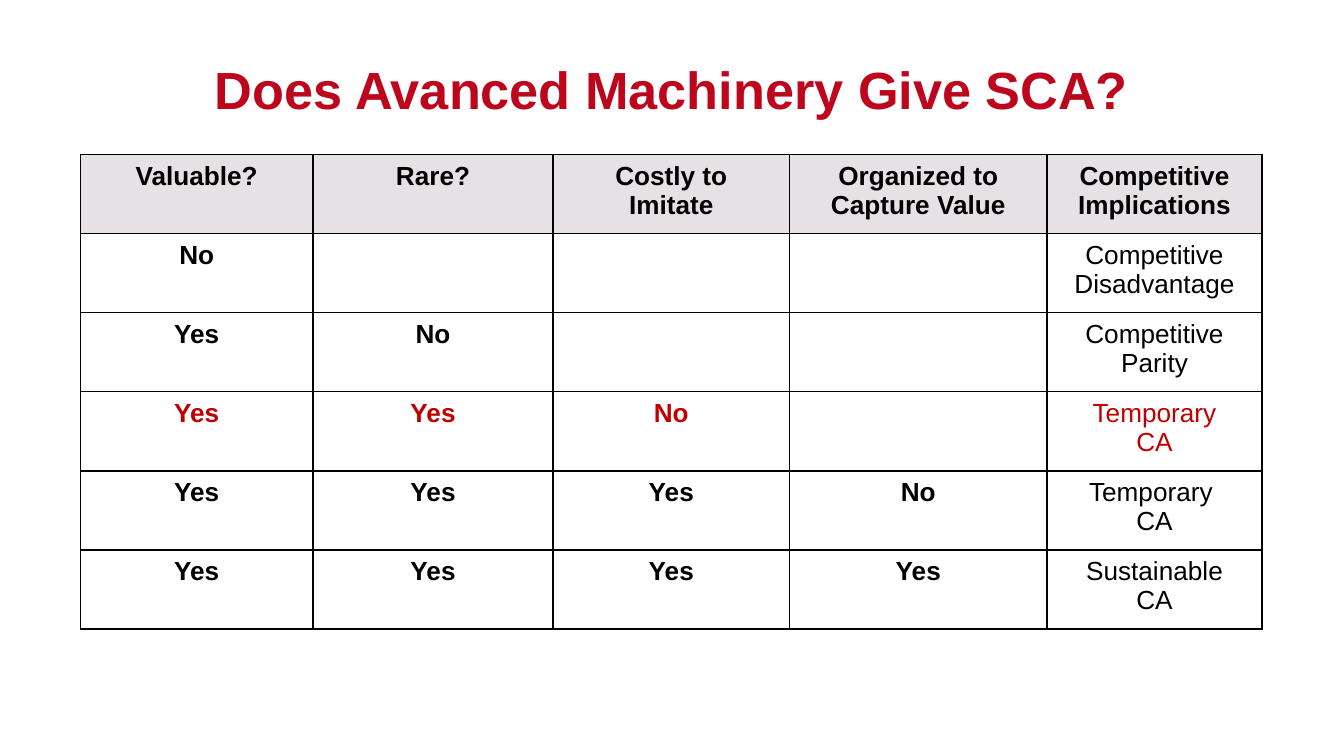
from lxml.etree import SubElement
from pptx import Presentation
from pptx.dml.color import RGBColor
from pptx.enum.text import MSO_ANCHOR as ANCHOR, PP_ALIGN as ALIGN
from pptx.oxml.ns import qn
from pptx.util import Inches, Pt

BLACK = RGBColor(0x00, 0x00, 0x00)
WHITE = RGBColor(0xFF, 0xFF, 0xFF)
HEADER_GREY = RGBColor(0xE5, 0xE1, 0xE4)
TITLE_RED = RGBColor(0xBD, 0x06, 0x1C)
ROW_RED = RGBColor(0xC0, 0x00, 0x00)

LEFT, WIDTH = 0.6, 8.79
COL_WIDTHS = [1.73, 1.79, 1.76, 1.92, 1.6]
TABLE_HEIGHT = 3.53
BORDER = Pt(0.96)
HIGHLIGHT_ROW = 3

ROWS = [
    ["Valuable?", "Rare?", "Costly to Imitate", "Organized to Capture Value",
     "Competitive Implications"],
    ["No", "", "", "", "Competitive\nDisadvantage"],
    ["Yes", "No", "", "", "Competitive Parity"],
    ["Yes", "Yes", "No", "", "Temporary\nCA"],
    ["Yes", "Yes", "Yes", "No", "Temporary \nCA"],
    ["Yes", "Yes", "Yes", "Yes", "Sustainable\nCA"],
]


def write(tf, text, size, color, bold):
    """Fill a text frame with centred paragraphs, one for each line of text."""
    font_format = {"name": "Arial", "size": Pt(size), "bold": bold}
    for i, line in enumerate(text.split("\n")):
        p = tf.add_paragraph() if i else tf.paragraphs[0]
        p.alignment = ALIGN.CENTER
        if line:
            r = p.add_run()
            r.text = line
            for name, value in font_format.items():
                setattr(r.font, name, value)
            r.font.color.rgb = color


def add_borders(cell):
    tc_pr = cell._tc.get_or_add_tcPr()
    for side in ("a:lnL", "a:lnR", "a:lnT", "a:lnB"):
        ln = SubElement(tc_pr, qn(side), w=str(BORDER))
        fill = SubElement(ln, qn("a:solidFill"))
        SubElement(fill, qn("a:srgbClr"), val=str(BLACK))


def add_title(slide, x, y, w, h):
    sp = slide.shapes.add_textbox(Inches(x), Inches(y), Inches(w), Inches(h))
    tf = sp.text_frame
    tf.word_wrap = True
    tf.vertical_anchor = ANCHOR.BOTTOM
    write(tf, "Does Avanced Machinery Give SCA?", 28, TITLE_RED, True)


def add_vrio_table(slide, x, y, w, h):
    table = slide.shapes.add_table(
        len(ROWS), len(COL_WIDTHS), Inches(x), Inches(y),
        Inches(w), Inches(h)).table
    for column, share in zip(table.columns, COL_WIDTHS):
        column.width = Inches(w * share / sum(COL_WIDTHS))
    margins = {"margin_left": Inches(0.15), "margin_right": Inches(0.15),
               "margin_top": Inches(0.05), "margin_bottom": Inches(0.05)}
    last_col = len(COL_WIDTHS) - 1
    for i, texts in enumerate(ROWS):
        color = ROW_RED if i == HIGHLIGHT_ROW else BLACK
        for j, text in enumerate(texts):
            cell = table.cell(i, j)
            for name, value in margins.items():
                setattr(cell, name, value)
            add_borders(cell)
            cell.fill.solid()
            cell.fill.fore_color.rgb = WHITE if i else HEADER_GREY
            write(cell.text_frame, text, 14, color, i == 0 or j < last_col)


def main():
    prs = Presentation()
    prs.slide_width = Inches(10)
    prs.slide_height = prs.slide_width * 9 // 16
    slide = prs.slides.add_slide(prs.slide_layouts[6])
    add_title(slide, LEFT, 0.09, WIDTH, 0.85)
    add_vrio_table(slide, LEFT, 1.15, WIDTH, TABLE_HEIGHT)
    prs.save("out.pptx")


if __name__ == "__main__":
    main()
